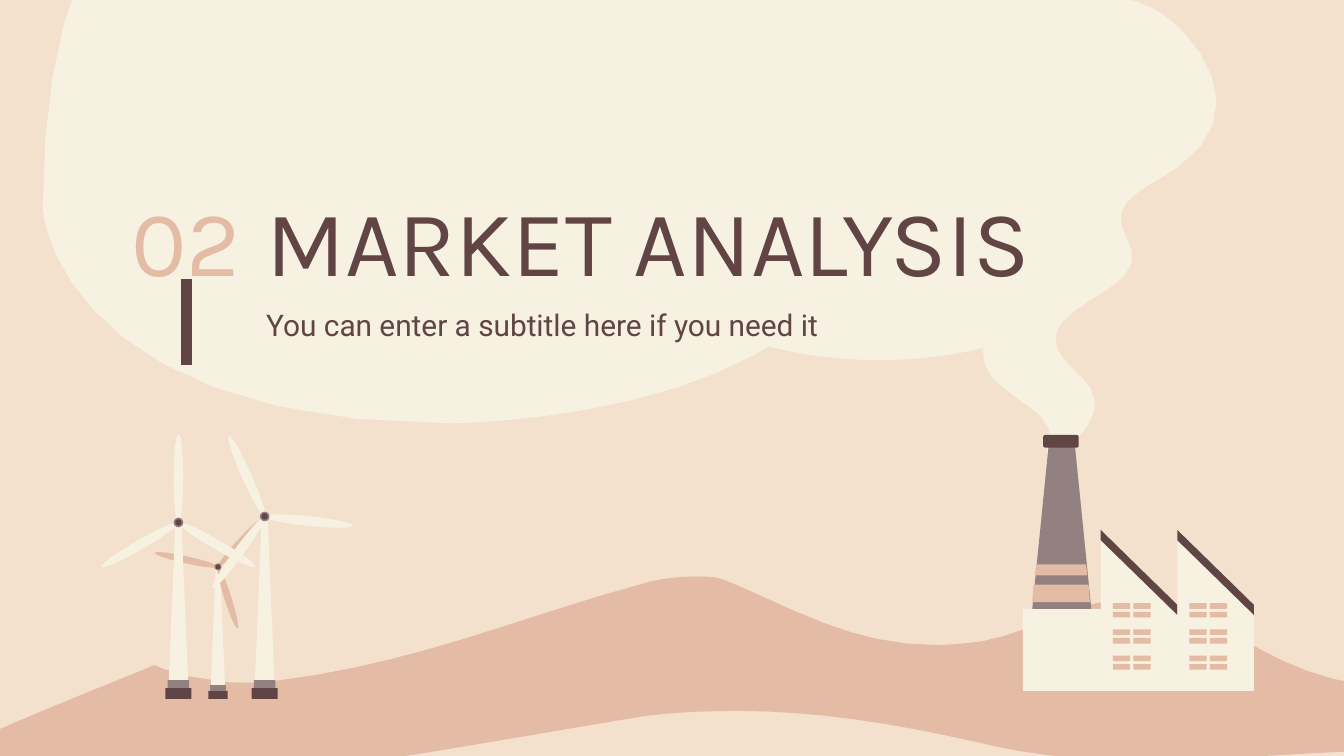
import itertools
import math
from dataclasses import dataclass

import lxml.etree
import pptx
import pptx.dml.color
import pptx.enum.shapes
import pptx.enum.text
import pptx.oxml.ns
import pptx.util

Pt = pptx.util.Pt
SHAPE = pptx.enum.shapes.MSO_SHAPE
ANCHOR = pptx.enum.text.MSO_ANCHOR
ALIGN = pptx.enum.text.PP_ALIGN

SAND, CREAM, CLAY, GREY, BROWN = "F3E1CE", "F6F1E1", "E4BBA5", "938080", "614444"
GROUND = 374.4
Point = tuple[float, float]


@dataclass
class Outline:
    start: Point
    segments: list[tuple[float, ...]]
    color: str


@dataclass
class Turbine:
    x: float
    y: float
    angle: float
    scale: float
    blade_color: str


SMOKE = Outline((171.4, -91.4), [
    (280.8, -91.4, 425.5, -16.6, 514.8, -16.6),
    (519.8, -16.6, 524.2, -17.3, 528.5, -17.3),
    (535, -18, 540.7, -18.7, 545.8, -18.7),
    (583.9, -18.7, 589.7, -2.9, 599.8, -1.4),
    (616.3, 1.4, 626.4, 9.4, 633.6, 16.6),
    (655.2, 39.6, 661, 68.4, 631.4, 89.3),
    (619.9, 97.2, 602.6, 104.4, 600.5, 114.5),
    (598.3, 123.1, 609.1, 131.8, 606.2, 141.1),
    (603.4, 153.4, 578.2, 161.3, 568.8, 172.8),
    (565.2, 177.1, 564.5, 182.2, 566.6, 187.2),
    (569.5, 194.4, 579.6, 200.9, 583.9, 207.4),
    (591.1, 218.9, 583.2, 229.7, 571.7, 240.5),
    (570.2, 241.2, 568.8, 242.6, 565.9, 243.4),
    (563.8, 244.1),
    (561.6, 244.1, 560.9, 243.4, 560.9, 241.9),
    (560.2, 239.8, 561.6, 237.6, 562.3, 235.4),
    (562.3, 233.3, 562.3, 231.1, 561.6, 229),
    (558.7, 221, 546.5, 215.3, 537.8, 208.1),
    (527, 200.2, 524.2, 190.1, 528.5, 180.7),
    (533.5, 171.4, 545.8, 162.7, 543.6, 153.4),
    (542.2, 144.7, 518.4, 152.6, 515.5, 144),
    (514.1, 140.4, 508.3, 128.2, 493.9, 128.2),
    (482.4, 128.2, 465.1, 136.1, 441.4, 162),
    (386.6, 221.8, 259.9, 226.8, 240.5, 226.8),
    (42.5, 226.8, 23, 123.1, 23, 111.6),
    (23, -46.8, 86.4, -91.4, 171.4, -91.4),
], CREAM)

HILLS = Outline((372.2, 308.9), [
    (378.7, 308.9, 384.5, 308.9, 388.8, 311),
    (424.1, 325.4, 455.8, 345.6, 501.1, 345.6),
    (509, 345.6, 517.7, 344.9, 527, 343.4),
    (554.4, 338.4, 578.9, 320.4, 607, 320.4),
    (614.2, 320.4, 622.1, 321.1, 629.3, 324),
    (665.3, 338.4, 683.3, 360, 731.5, 367.2),
    (763.2, 370.8, 794.2, 372.2, 825.8, 373),
    (851, 388.1),
    (851, 401.8),
    (835.9, 401, 821.5, 400.3, 806.4, 400.3),
    (757.4, 400.3, 709.2, 403.2, 659.5, 406.1),
    (643.7, 406.8, 628.6, 407.5, 612.7, 407.5),
    (586.1, 407.5, 559.4, 405.4, 535, 400.3),
    (488.9, 389.5, 442.8, 380.9, 394.6, 380.9),
    (378, 380.9, 361.4, 381.6, 344.2, 383.8),
    (246.2, 400.3, 154.1, 416.9, 49.7, 428.4),
    (17.3, 432, -17.3, 434.2, -51.1, 434.2),
    (-84.2, 433.4),
    (-38.2, 404.6, 22.3, 380.9, 82.8, 356.4),
    (87.8, 358.6, 93.6, 360.7, 100.1, 362.2),
    (118.1, 365),
    (122.4, 365.8, 127.4, 365.8, 131.8, 365.8),
    (136.8, 365.8, 141.1, 365.8, 146.2, 365),
    (222.5, 355.7, 276.5, 331.2, 342.7, 313.2),
    (351.4, 310.3, 362.2, 308.9, 372.2, 308.9),
], CLAY)

TURBINES = [
    Turbine(116.8, 303.7, 42.5, 0.73, CLAY),
    Turbine(95.6, 279.9, 0, 1, CREAM),
    Turbine(141.8, 276.7, 96, 1, CREAM),
]


def rgb(color: str) -> pptx.dml.color.RGBColor:
    return pptx.dml.color.RGBColor.from_string(color)


def paint(sp, color: str) -> None:
    sp.fill.solid()
    sp.fill.fore_color.rgb = rgb(color)
    sp.line.fill.background()
    sp.shadow.inherit = False


def polygon(s, points: list[Point], color: str) -> None:
    pts = [(Pt(x), Pt(y)) for x, y in points]
    fb = s.shapes.build_freeform(*pts[0])
    fb.add_line_segments(pts[1:], close=True)
    paint(fb.convert_to_shape(), color)


def preset(s, kind, x: float, y: float, w: float, h: float, color: str):
    sp = s.shapes.add_shape(kind, Pt(x), Pt(y), Pt(w), Pt(h))
    paint(sp, color)
    return sp


def draw_outline(s, outline: Outline) -> None:
    points = [outline.start]
    for seg in outline.segments:
        if len(seg) == 2:
            points.append(seg)
            continue
        nodes = [points[-1], seg[:2], seg[2:4], seg[4:]]
        steps = math.ceil(0.7 * math.sqrt(math.dist(nodes[0], nodes[3])))
        for i in range(1, steps + 1):
            t = i / steps
            weights = [math.comb(3, k) * t**k * (1 - t)**(3 - k) for k in range(4)]
            points.append(tuple(sum(w * n[axis] for w, n in zip(weights, nodes))
                                for axis in range(2)))
    polygon(s, points, outline.color)


def draw_blade(s, t: Turbine, angle: float) -> None:
    a, half, wide = math.radians(angle), 23.75 * t.scale, 2.6 * t.scale
    x, y = t.x + half * math.sin(a), t.y - half * math.cos(a)
    sp = preset(s, SHAPE.OVAL, x - wide, y - half, 2 * wide, 2 * half, t.blade_color)
    sp.rotation = angle


def draw_turbine(s, t: Turbine) -> None:
    k = t.scale
    top = t.y - 2.6 * k
    polygon(s, [(t.x - 1.5 * k, top), (t.x - 5.6 * k, GROUND),
                (t.x + 5.6 * k, GROUND), (t.x + 1.5 * k, top)], CREAM)
    for i in range(3):
        draw_blade(s, t, t.angle + 120 * i)
    for radius, color in ((2.6 * k, GREY), (1.7 * k, BROWN)):
        preset(s, SHAPE.OVAL, t.x - radius, t.y - radius, 2 * radius, 2 * radius, color)
    bottom = GROUND
    for half, height, color in ((7 * k, 5.8 * k, BROWN), (5.8 * k, 4.2 * k, GREY)):
        bottom -= height
        preset(s, SHAPE.RECTANGLE, t.x - half, bottom, 2 * half, height, color)


def draw_factory(s) -> None:
    bays, width = (589.7, 630.7), 41
    polygon(s, [(589.7, 289.4), (589.7, 326.2), (547.9, 326.2), (547.9, 370.1),
                (671.7, 370.1), (671.7, 329), (630.7, 289.4), (630.7, 329)], CREAM)
    for left, right, top, bottom, inset, color in (
            (553, 584.6, 236.2, 326.2, 9, GREY),
            (554.4, 582.5, 302.4, 308.2, 0.7, CLAY),
            (553, 583.9, 313.2, 322.6, 0.7, CLAY)):
        polygon(s, [(left + inset, top), (left, bottom), (right, bottom),
                    (right - inset, top)], color)
    cap = preset(s, SHAPE.ROUNDED_RECTANGLE, 558.9, 233, 19, 6.8, BROWN)
    cap.adjustments[0] = 0.15
    for x in bays:
        polygon(s, [(x, 283.9), (x, 289.4), (x + width, 329.4), (x + width, 324)], BROWN)
    for x, row, sub, col in itertools.product(bays, range(3), range(2), range(2)):
        preset(s, SHAPE.RECTANGLE, x + 6.5 + 11 * col, 323.2 + 14 * row + 4.6 * sub,
               9.3, 3, CLAY)


def write(s, sp, box: tuple, text: str, size: float, font: str, color: str, align, anchor):
    sp.left, sp.top, sp.width, sp.height = (Pt(v) for v in box)
    s.shapes.element.append(sp.element)
    tf = sp.text_frame
    tf.word_wrap = True
    tf.auto_size = pptx.enum.text.MSO_AUTO_SIZE.NONE
    tf.vertical_anchor = anchor
    tf.margin_left = tf.margin_right = tf.margin_top = tf.margin_bottom = Pt(7.2)
    p = tf.paragraphs[0]
    p.alignment = align
    p.space_before = Pt(0)
    r = p.add_run()
    r.text = text
    r.font.size, r.font.name, r.font.color.rgb = Pt(size), font, rgb(color)
    return p


def main() -> None:
    prs = pptx.Presentation()
    prs.slide_width, prs.slide_height = Pt(720), Pt(405)
    s = prs.slides.add_slide(prs.slide_layouts[0])
    s.background.fill.solid()
    s.background.fill.fore_color.rgb = rgb(SAND)

    draw_outline(s, SMOKE)
    preset(s, SHAPE.OVAL, 349.9, 77, 241.9, 115.9, CREAM)
    draw_outline(s, HILLS)

    number = s.shapes.add_textbox(0, 0, Pt(87), Pt(78))
    write(s, number, (56.2, 87.8, 87, 77.8), "02", 50, "Karla", CLAY,
          ALIGN.CENTER, ANCHOR.BOTTOM)
    write(s, s.shapes.title, (135.4, 87.8, 461.5, 77.8), "MARKET ANALYSIS", 50, "Karla",
          BROWN, ALIGN.LEFT, ANCHOR.BOTTOM)
    draw_factory(s)
    p = write(s, s.placeholders[1], (135.4, 154.1, 313.9, 53.3),
              "You can enter a subtitle here if you need it", 16, "Roboto", BROWN,
              ALIGN.LEFT, ANCHOR.TOP)
    p.line_spacing, p.space_after = 1.15, Pt(16)

    bar = s.shapes.add_connector(pptx.enum.shapes.MSO_CONNECTOR.STRAIGHT,
                                 Pt(100), Pt(149.3), Pt(100), Pt(195.8))
    bar.line.color.rgb, bar.line.width = rgb(BROWN), Pt(6)
    lxml.etree.SubElement(bar.element.spPr, pptx.oxml.ns.qn("a:effectLst"))
    for turbine in TURBINES:
        draw_turbine(s, turbine)
    prs.save("out.pptx")


if __name__ == "__main__":
    main()
